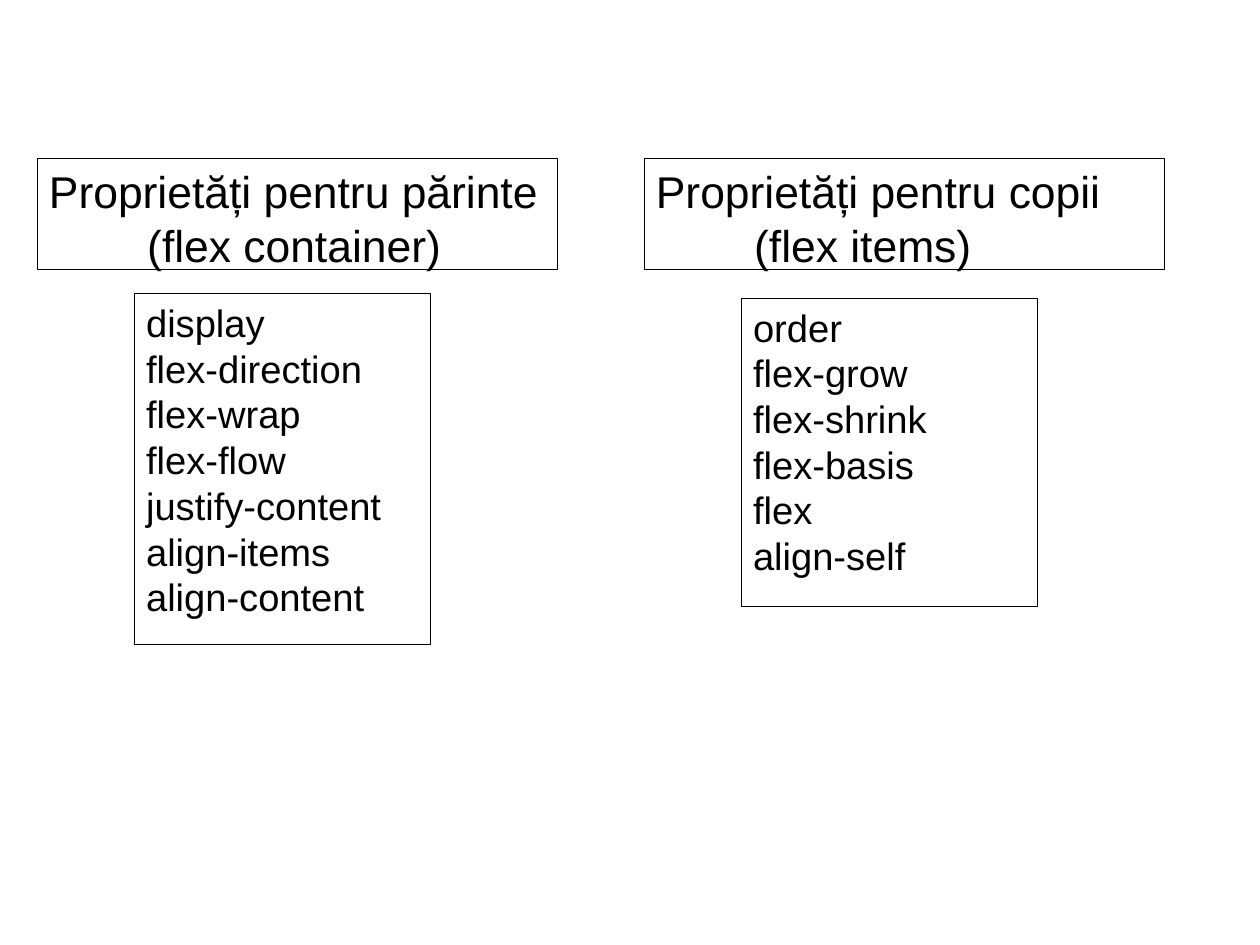
from pptx import Presentation
from pptx.dml.color import RGBColor
from pptx.enum.shapes import MSO_SHAPE
from pptx.enum.text import MSO_ANCHOR, PP_ALIGN
from pptx.util import Inches, Pt

BLACK = RGBColor(0, 0, 0)
FONT = "Arial"
CM_PER_INCH = 2.54
SLIDE_WIDTH_CM, SLIDE_HEIGHT_CM = 28, 21
HEADING_SIZE, LIST_SIZE = 28, 24
LINE_PITCH = 1.2
HEADING_TOP = 1.39
HEADING_WIDTH, HEADING_HEIGHT = 4.55, 0.97
LIST_WIDTH = 2.59
LIST_INDENT = 0.85
SUBTITLE_INDENT = 0.86

# left edge, list top, list height, heading lines, property names
COLUMNS = [
    (0.33, 2.57, 3.07,
     ["Proprietăți pentru părinte", "(flex container)"],
     ["display", "flex-direction", "flex-wrap", "flex-flow",
      "justify-content", "align-items", "align-content"]),
    (5.64, 2.61, 2.7,
     ["Proprietăți pentru copii", "(flex items)"],
     ["order", "flex-grow", "flex-shrink", "flex-basis", "flex",
      "align-self"]),
]


def add_outlined_box(slide, left, top, width, height, lines, size):
    box = slide.shapes.add_shape(
        MSO_SHAPE.RECTANGLE,
        Inches(left), Inches(top), Inches(width), Inches(height))
    box.shadow.inherit = False
    box.fill.background()
    box.line.color.rgb = BLACK
    box.line.width = Pt(0)

    frame = box.text_frame
    frame.word_wrap = True
    frame.vertical_anchor = MSO_ANCHOR.TOP
    frame.margin_left = frame.margin_right = Inches(0.1)
    frame.margin_top = frame.margin_bottom = Inches(0.05)
    frame.text = "\n".join(lines)
    for para in frame.paragraphs:
        para.alignment = PP_ALIGN.LEFT
        para.line_spacing = Pt(size * LINE_PITCH)
        for span in para.runs:
            span.font.name = FONT
            span.font.size = Pt(size)
            span.font.color.rgb = BLACK
    return box


def add_column(slide, left, list_top, list_height, heading, properties):
    """Place a heading box with its list of properties below it."""
    heading_box = add_outlined_box(slide, left, HEADING_TOP, HEADING_WIDTH,
                                   HEADING_HEIGHT, heading, HEADING_SIZE)
    subtitle = heading_box.text_frame.paragraphs[1]
    subtitle._p.get_or_add_pPr().set("marL", str(Inches(SUBTITLE_INDENT)))
    add_outlined_box(slide, left + LIST_INDENT, list_top, LIST_WIDTH,
                     list_height, properties, LIST_SIZE)


def main():
    deck = Presentation()
    deck.slide_width = Inches(SLIDE_WIDTH_CM / CM_PER_INCH)
    deck.slide_height = Inches(SLIDE_HEIGHT_CM / CM_PER_INCH)
    slide = deck.slides.add_slide(deck.slide_layouts[6])
    for column in COLUMNS:
        add_column(slide, *column)
    deck.save("out.pptx")


if __name__ == "__main__":
    main()
